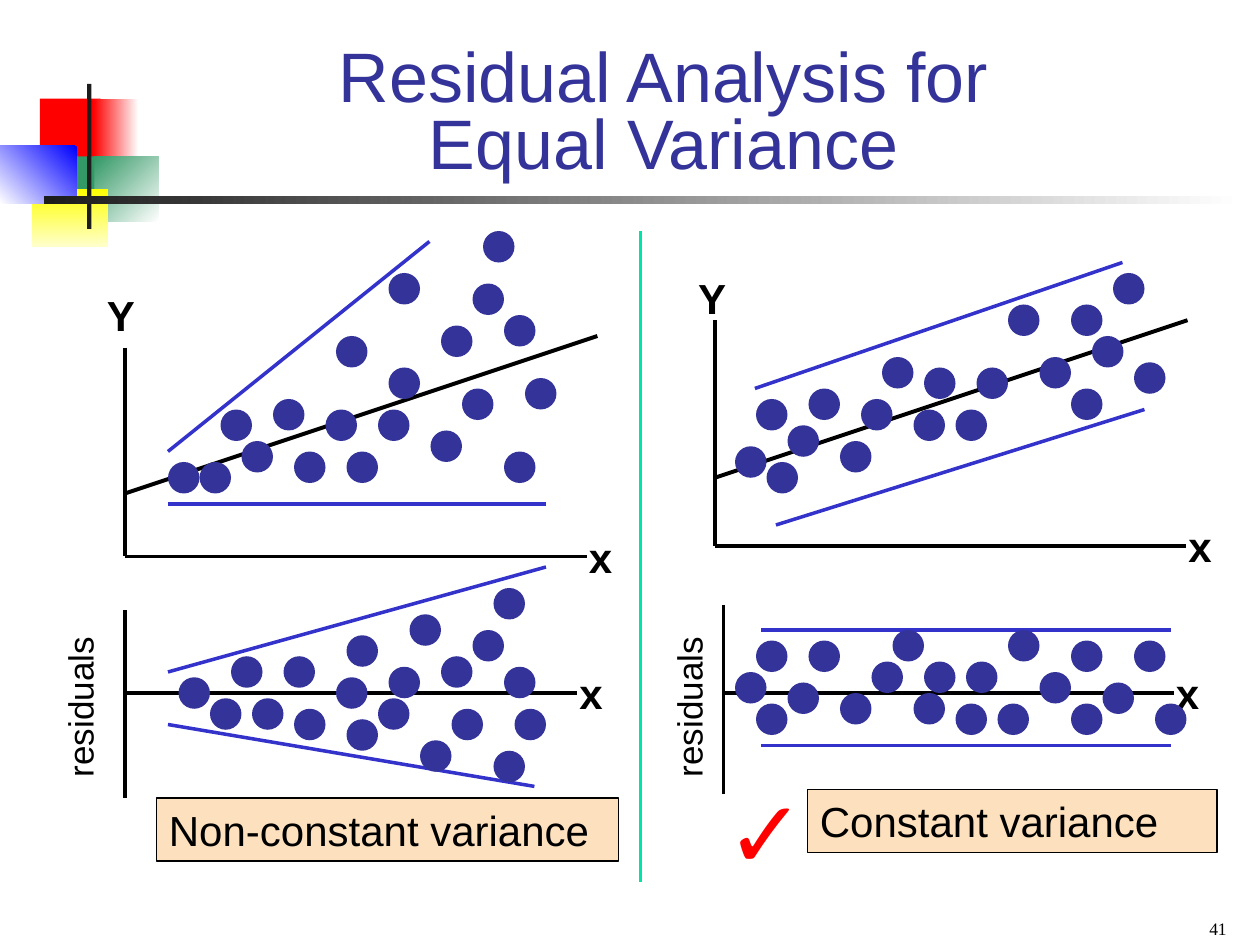
"""Build a slide comparing non-constant and constant residual variance."""
from dataclasses import dataclass

from lxml import etree
from pptx import Presentation
from pptx.dml.color import RGBColor
from pptx.enum.shapes import MSO_CONNECTOR, MSO_SHAPE
from pptx.enum.text import MSO_ANCHOR, PP_ALIGN
from pptx.oxml.ns import qn
from pptx.util import Emu, Pt

RECT, OVAL = MSO_SHAPE.RECTANGLE, MSO_SHAPE.OVAL
STRAIGHT = MSO_CONNECTOR.STRAIGHT
TOP, BOTTOM = MSO_ANCHOR.TOP, MSO_ANCHOR.BOTTOM
LEFT, CENTER, RIGHT = PP_ALIGN.LEFT, PP_ALIGN.CENTER, PP_ALIGN.RIGHT
PX = 7620
DOT, COL, ROW = 30, 10, 5
RUN, RISE = 450, 150
GRID = "abcdefghijklmnopqrstuvwxyzABCDEFGHIJKLMNOPQRSTUVWXYZ"


@dataclass(frozen=True)
class Theme:
    """Colours, fonts and sizes in points."""
    ink: str = "000000"
    navy: str = "333399"
    bound: str = "3333CC"
    divider: str = "00E4A8"
    cream: str = "FDE0BD"
    red: str = "FF0000"
    green: str = "339966"
    yellow: str = "FFFF00"
    pale: str = "FFFFCC"
    blue: str = "0000FF"
    bar: str = "1C1C1C"
    white: str = "FFFFFF"
    font: str = "Arial"
    serif: str = "Times New Roman"
    title: int = 40
    tick: int = 54
    label: int = 24
    side: int = 20
    number: int = 10
    thin: float = 1
    line: float = 2
    thick: float = 2.25


T = Theme()


@dataclass(frozen=True)
class Block:
    """Decorative shape with a solid or clockwise-angled gradient fill."""
    box: tuple[int, int, int, int]
    colors: tuple[str, ...]
    angle: int = 0


@dataclass(frozen=True)
class Label:
    """Text with its box and formatting."""
    text: str
    box: tuple[int, int, int, int]
    size: int = T.label
    color: str = T.ink
    bold: bool = False
    font: str = T.font
    align: PP_ALIGN = LEFT
    anchor: MSO_ANCHOR = TOP
    spacing: float = 1.0
    rotation: int = 0
    wrap: bool = True
    fill: str = ""


@dataclass(frozen=True)
class Plot:
    """Scatter sketch whose dots are named by grid column and row."""
    axis: int
    top: int
    bottom: int
    base: int
    end: int
    bounds: tuple[tuple[int, int, int, int], ...]
    name: Label
    origin: tuple[int, int]
    dots: str
    trend: int = 0


def y_label(x: int, y: int) -> Label:
    """Describe the name of a vertical axis."""
    return Label("Y", (x, y, 50, 60), bold=True, wrap=False)


def side_label(x: int) -> Label:
    """Describe the upright caption of a residual plot."""
    return Label("residuals", (x, 640, 172, 52), T.side, rotation=270)


BLOCKS = (
    Block((38, 94, 58, 62), (T.red,)),
    Block((89, 94, 43, 62), (T.white, T.red), 180),
    Block((90, 149, 61, 62), (T.white, T.green), 225),
    Block((52, 149, 38, 62), (T.green,)),
    Block((30, 180, 73, 55), (T.yellow, T.pale), 90),
    Block((0, 139, 73, 55), (T.blue, T.white), 135),
    Block((83, 80, 4, 138), (T.bar,)),
    Block((42, 187, 1141, 7), (T.white, T.bar), 180),
)
PLOTS = (
    Plot(119, 581, 760, 660, 550, ((160, 640, 520, 540), (160, 690, 509, 749)),
         side_label(-10), (170, 560),
         "Ea wf Ci qj fn kn zn up Fp ar pr dv hv tv lx Ax Gx qz xD EF"),
    Plot(689, 576, 756, 660, 1118, ((725, 600, 1115, 600), (725, 710, 1115, 710)),
         side_label(570), (700, 600),
         "cc km fk hc ai co Aa ng pa sg vo rm Gc wg zo Go Di Mc Jk Oo"),
    Plot(119, 331, 530, 530, 559, ((160, 430, 409, 230), (160, 480, 520, 480)),
         y_label(90, 270), (160, 220),
         "aS fI vi zM Dk kG CE GQ Ea Gq As rQ vA qu dS hO mQ uI IC pI", 470),
    Plot(681, 305, 520, 520, 1130, ((719, 370, 1069, 250), (739, 500, 1090, 390)),
         y_label(653, 254), (700, 260),
         "aH cy xs Gg hw Dq Gw Im Ag rA ss oq dK fD kG vA Mr my Ka", 455),
)
LABELS = (
    Label("Residual Analysis for \vEqual Variance ", (130, 40, 1022, 140), T.title, T.navy,
          align=CENTER, anchor=BOTTOM, spacing=0.8),
    Label("Non-constant variance", (149, 760, 440, 60), fill=T.cream),
    Label("✓", (680, 731, 120, 120), T.tick, T.red),
    Label("Constant variance", (769, 752, 390, 60), fill=T.cream),
    Label("41", (900, 858, 280, 42), T.number, font=T.serif, align=RIGHT, anchor=BOTTOM),
)


def emu(*values: int) -> list[Emu]:
    """Scale px lengths to EMU."""
    return [Emu(v * PX) for v in values]


def add_block(s, block: Block, kind=RECT):
    """Draw a shape without outline or shadow."""
    sp = s.shapes.add_shape(kind, *emu(*block.box))
    sp.shadow.inherit = False
    sp.line.fill.background()
    if len(block.colors) == 1:
        sp.fill.solid()
        sp.fill.fore_color.rgb = RGBColor.from_string(block.colors[0])
    else:
        sp.fill.gradient()
        sp.fill.gradient_angle = (360 - block.angle) % 360
        for stop, color in zip(sp.fill.gradient_stops, block.colors):
            stop.color.rgb = RGBColor.from_string(color)
    return sp


def add_line(s, *ends: int, color: str = T.ink, width: float = T.line) -> None:
    """Draw a straight line."""
    sp = s.shapes.add_connector(STRAIGHT, *emu(*ends))
    sp.line.color.rgb = RGBColor.from_string(color)
    sp.line.width = Pt(width)
    etree.SubElement(sp._element.spPr, qn("a:effectLst"))


def add_label(s, label: Label) -> None:
    """Draw text, on a framed panel when a fill is given."""
    if label.fill:
        sp = add_block(s, Block(label.box, (label.fill,)))
        sp.line.color.rgb = RGBColor.from_string(T.ink)
        sp.line.width = Pt(T.thin)
    else:
        sp = s.shapes.add_textbox(*emu(*label.box))
    sp.rotation = label.rotation
    tf = sp.text_frame
    tf.word_wrap, tf.vertical_anchor = label.wrap, label.anchor
    tf.margin_left, tf.margin_top, tf.margin_right, tf.margin_bottom = emu(12, 6, 12, 6)
    p = tf.paragraphs[0]
    p.alignment, p.line_spacing = label.align, label.spacing
    for i, text in enumerate(label.text.split("\v")):
        if i:
            p.add_line_break()
        r = p.add_run()
        r.text = text
        r.font.name, r.font.size, r.font.bold = label.font, Pt(label.size), label.bold
        r.font.color.rgb = RGBColor.from_string(label.color)


def add_plot(s, plot: Plot) -> None:
    """Draw one scatter sketch."""
    add_line(s, plot.axis, plot.top, plot.axis, plot.bottom)
    add_line(s, plot.axis, plot.base, plot.end, plot.base)
    if plot.trend:
        add_line(s, plot.axis, plot.trend, plot.axis + RUN, plot.trend - RISE, width=T.thick)
    for ends in plot.bounds:
        add_line(s, *ends, color=T.bound)
    add_label(s, plot.name)
    add_label(s, Label("x", (plot.end - 10, plot.base - 30, 61, 60), bold=True))
    left, top = plot.origin
    for col, row in plot.dots.split():
        box = (left + GRID.index(col) * COL, top + GRID.index(row) * ROW, DOT, DOT)
        add_block(s, Block(box, (T.navy,)), OVAL)


def main() -> None:
    """Assemble and save the slide."""
    prs = Presentation()
    prs.slide_width, prs.slide_height = emu(1200, 900)
    s = prs.slides.add_slide(prs.slide_layouts[6])
    for block in BLOCKS:
        add_block(s, block)
    for label in LABELS:
        add_label(s, label)
    for plot in PLOTS:
        add_plot(s, plot)
    add_line(s, 610, 220, 610, 840, color=T.divider, width=T.thick)
    prs.save("out.pptx")


if __name__ == "__main__":
    main()
